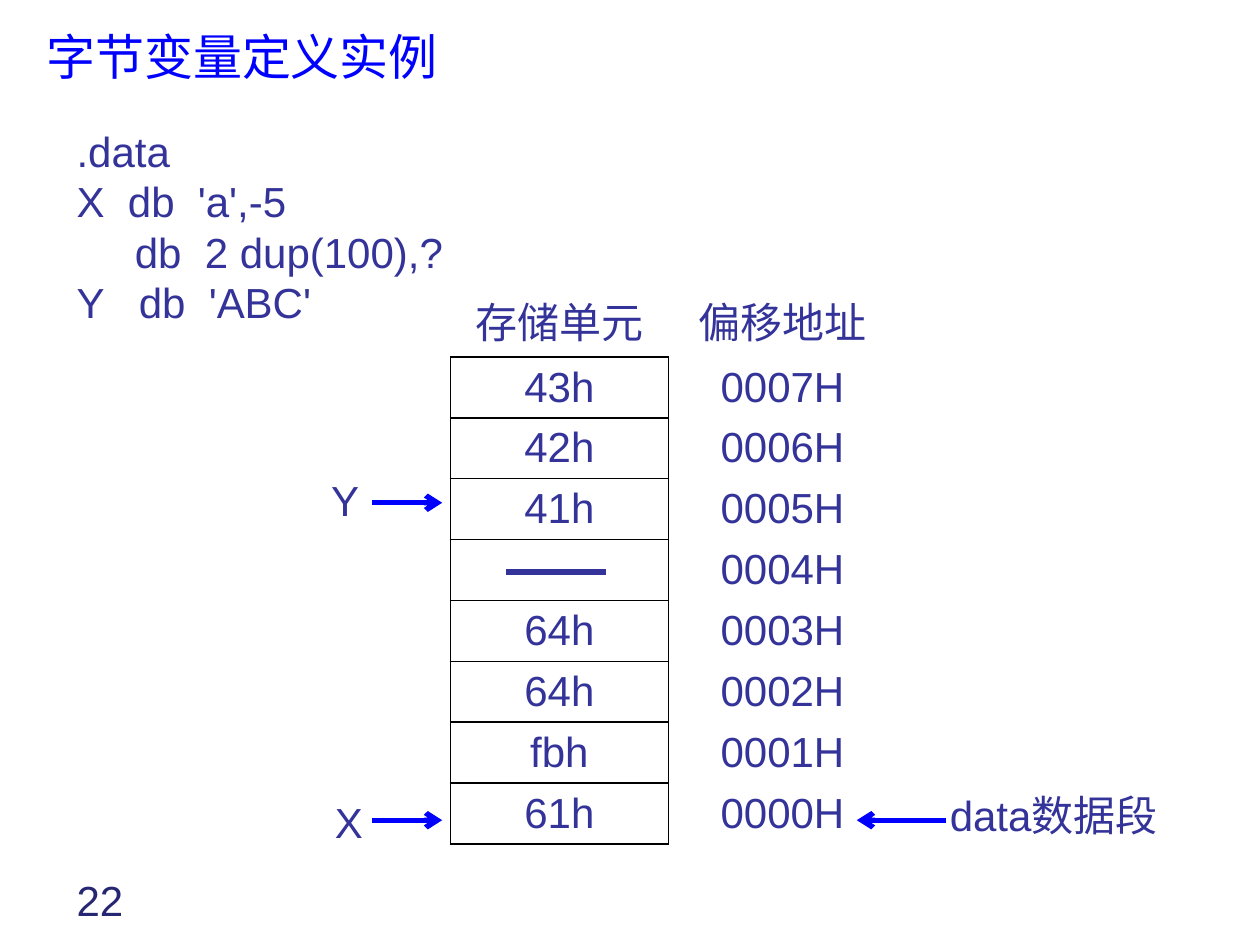
from dataclasses import dataclass

from lxml.etree import SubElement
from pptx import Presentation
from pptx.dml.color import RGBColor
from pptx.enum.shapes import MSO_CONNECTOR
from pptx.enum.text import MSO_ANCHOR, PP_ALIGN
from pptx.oxml import parse_xml
from pptx.oxml.ns import nsdecls, qn
from pptx.util import Pt

BLUE, NAVY, INDIGO, BLACK = "0000FF", "262673", "333399", "000000"
LATIN, CJK = "Arial", "Noto Sans CJK SC"


@dataclass
class Label:
    text: str
    left: float
    top: float
    width: float
    height: float = 36
    color: str = INDIGO
    size: float = 24
    font: str = LATIN
    wrap: bool = True
    anchor: MSO_ANCHOR = MSO_ANCHOR.TOP


@dataclass
class Line:
    x1: float
    x2: float
    y: float
    color: str = BLUE
    arrow: bool = True


LABELS = [
    Label("22", 36.7, 496, 57, color=NAVY),
    Label("字节变量定义实例", 19.4, 3.6, 250, 57, BLUE, 28, CJK, anchor=MSO_ANCHOR.MIDDLE),
    Label("data数据段", 535.7, 447.8, 136),
    Label("X", 184.3, 451.4, 31, wrap=False),
    Label("Y", 182.2, 267.8, 31, wrap=False),
]
CODE = Label(
    ".data\nX  db  'a',-5\n     db  2 dup(100),?\nY   db  'ABC'",
    36.7, 73.9, 232.6, 120,
)
LINES = [
    Line(212.4, 252.7, 287.3),
    Line(540.7, 489.6, 468.7),
    Line(212.4, 252.7, 468.7),
    Line(289.4, 346.3, 326.9, INDIGO, False),
]
HEADERS = ("存储单元", "偏移地址")
MEMORY = ["43h", "42h", "41h", "", "64h", "64h", "fbh", "61h"]
COLUMNS = (124.6, 130.3)
HEADER_HEIGHT, ROW_HEIGHT = 42, 34


def rgb(color: str) -> RGBColor:
    return RGBColor.from_string(color)


def style(p, color: str, size: float, font: str) -> None:
    for r in p.runs:
        r.font.size, r.font.name, r.font.bold = Pt(size), font, False
        r.font.color.rgb = rgb(color)
        SubElement(r._r.get_or_add_rPr(), qn("a:ea")).set("typeface", CJK)


def add_label(s, label: Label):
    box = s.shapes.add_textbox(
        Pt(label.left), Pt(label.top), Pt(label.width), Pt(label.height)
    )
    tf = box.text_frame
    tf.text = label.text
    tf.word_wrap = label.wrap
    tf.vertical_anchor = label.anchor
    for p in tf.paragraphs:
        style(p, label.color, label.size, label.font)
    return tf


def add_code(s, code: Label) -> None:
    for i, p in enumerate(add_label(s, code).paragraphs):
        p.line_spacing = 0.8
        p.space_before = Pt(5.6 if i else 0)


def add_line(s, line: Line) -> None:
    c = s.shapes.add_connector(
        MSO_CONNECTOR.STRAIGHT, Pt(line.x1), Pt(line.y), Pt(line.x2), Pt(line.y)
    )
    c.line.color.rgb = rgb(line.color)
    c.line.width = Pt(3)
    if line.arrow:
        SubElement(c.line._get_or_add_ln(), qn("a:tailEnd")).set("type", "arrow")
    SubElement(c._element.spPr, qn("a:effectLst"))


def set_borders(cell, sides: str) -> None:
    tcPr = cell._tc.get_or_add_tcPr()
    for i, side in enumerate("LRTB"):
        fill = (
            f'<a:solidFill><a:srgbClr val="{BLACK}"/></a:solidFill>'
            if side in sides else "<a:noFill/>"
        )
        tag = f"a:ln{side}"
        tcPr.insert(i, parse_xml(f'<{tag} {nsdecls("a")} w="{Pt(1)}">{fill}</{tag}>'))


def fill_cell(cell, text: str, sides: str) -> None:
    cell.fill.background()
    cell.margin_top = cell.margin_bottom = Pt(3)
    cell.vertical_anchor = MSO_ANCHOR.MIDDLE
    cell.text = text
    p = cell.text_frame.paragraphs[0]
    p.alignment = PP_ALIGN.CENTER
    style(p, INDIGO, 24, LATIN)
    set_borders(cell, sides)


def add_memory_table(s) -> None:
    height = HEADER_HEIGHT + len(MEMORY) * ROW_HEIGHT
    table = s.shapes.add_table(
        len(MEMORY) + 1, 2, Pt(257.4), Pt(162), Pt(sum(COLUMNS)), Pt(height)
    ).table
    table.first_row = table.horz_banding = False
    for column, width in zip(table.columns, COLUMNS):
        column.width = Pt(width)
    for i, row in enumerate(table.rows):
        row.height = Pt(ROW_HEIGHT if i else HEADER_HEIGHT)
    fill_cell(table.cell(0, 0), HEADERS[0], "B")
    fill_cell(table.cell(0, 1), HEADERS[1], "")
    for i, value in enumerate(MEMORY, 1):
        fill_cell(table.cell(i, 0), value, "LRTB")
        fill_cell(table.cell(i, 1), f"{len(MEMORY) - i:04X}H", "L")


def main() -> None:
    prs = Presentation()
    prs.slide_width, prs.slide_height = Pt(720), Pt(540)
    s = prs.slides.add_slide(prs.slide_layouts[6])
    add_code(s, CODE)
    add_memory_table(s)
    for label in LABELS:
        add_label(s, label)
    for line in LINES:
        add_line(s, line)
    prs.save("out.pptx")


if __name__ == "__main__":
    main()
